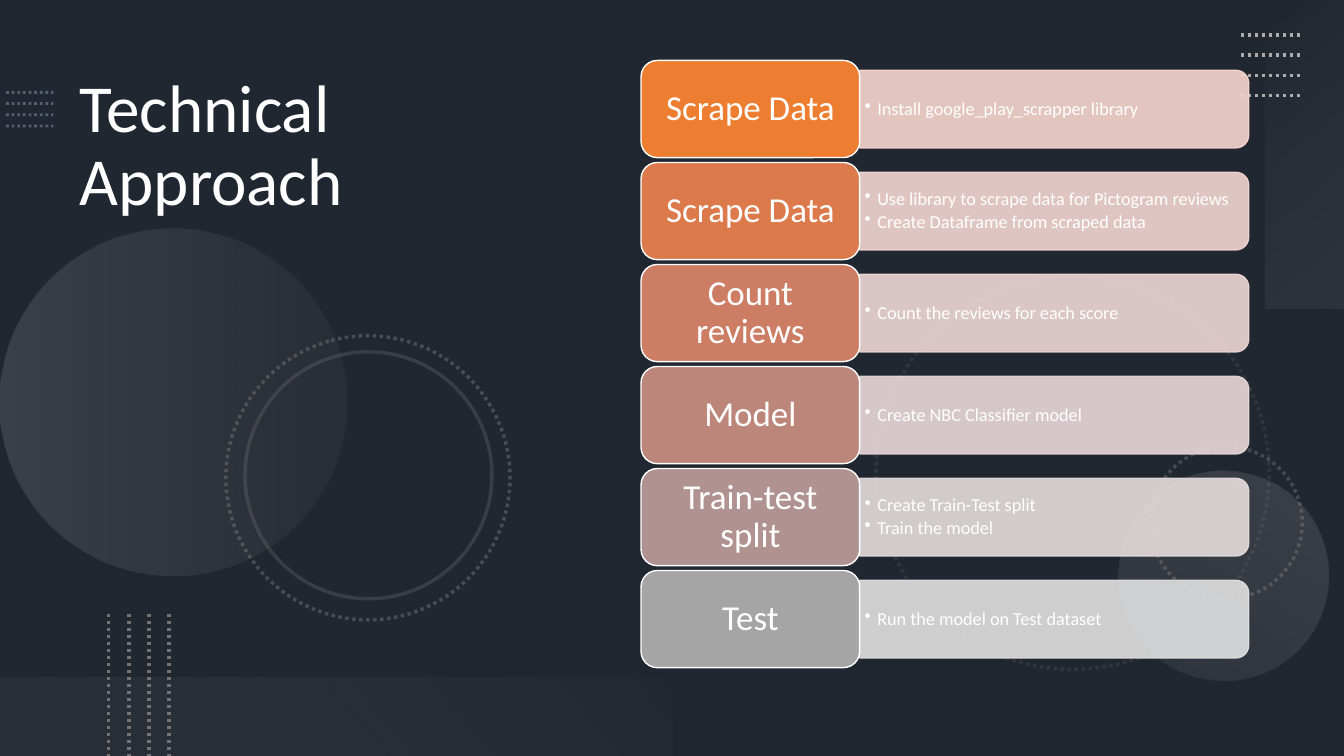
from dataclasses import dataclass

import pptx
import pptx.dml.color
import pptx.enum.dml
import pptx.enum.shapes
import pptx.enum.text
import pptx.oxml
import pptx.oxml.ns
import pptx.util

Pt = pptx.util.Pt
SHAPE = pptx.enum.shapes.MSO_SHAPE
ALIGN = pptx.enum.text.PP_ALIGN
ANCHOR = pptx.enum.text.MSO_ANCHOR
qn = pptx.oxml.ns.qn
A_NS = pptx.oxml.ns.nsdecls("a")

COLORS = {
    "slate": "44546A", "black": "000000", "white": "FFFFFF",
    "steel": "8497B0", "gray": "767171", "silver": "AFABAB",
    "smoke": "F5F5F5", "mist": "F1F0F0",
}


@dataclass
class Step:
    name: str
    points: list[str]
    card: str
    band: str


@dataclass
class Ring:
    left: float
    top: float
    size: float
    alpha: int
    dotted: bool = True


@dataclass
class Glow:
    kind: int
    box: tuple[float, float, float, float]
    rotation: int
    angle: int
    stops: list[tuple[int, str, int]]  # position %, colour name, opacity %


@dataclass
class DottedLines:
    start: tuple[float, float]
    end: tuple[float, float]
    shift: tuple[float, float]
    color: str
    width: float
    alpha: int = 100


STEPS = [
    Step("Scrape Data", ["Install google_play_scrapper library"], "ED7D31", "F8D7CE"),
    Step("Scrape Data", ["Use library to scrape data for Pictogram reviews",
                         "Create Dataframe from scraped data"], "DC7A4B", "F4D7D1"),
    Step("Count reviews", ["Count the reviews for each score"], "CC7D64", "EFD8D5"),
    Step("Model", ["Create NBC Classifier model"], "BD867B", "EADAD9"),
    Step("Train-test split", ["Create Train-Test split", "Train the model"], "B09391", "E6DDDD"),
    Step("Test", ["Run the model on Test dataset"], "A5A5A5", "E1E1E1"),
]
RINGS = [
    Ring(625.7, 197.3, 280.8, 20),
    Ring(821.5, 319, 108.7, 45),
    Ring(161.3, 239.8, 203, 50),
    Ring(175, 251.3, 176.4, 30, dotted=False),
]
DISCS = [
    Glow(SHAPE.OVAL, (0, 163.4, 247.7, 247.7), 270, 90, [(0, "silver", 20), (100, "gray", 10)]),
    Glow(SHAPE.OVAL, (799.2, 336.2, 149.8, 149.8), 210, 90, [(0, "silver", 10), (100, "silver", 20)]),
]
PANELS = [
    Glow(SHAPE.RECTANGLE, (822.2, 82.1, 220.3, 56.2), 270, 140, [(0, "smoke", 0), (100, "silver", 10)]),
    Glow(SHAPE.RECTANGLE, (0, 483.8, 480.2, 56.2), 180, 140, [(10, "gray", 10), (100, "mist", 0)]),
]
DOTTED = [
    DottedLines((4.3, 66), (38.2, 66), (0, 8), "steel", 2, 50),
    DottedLines((886.3, 25), (929.5, 25), (0, 14.4), "silver", 2.5),
    DottedLines((77.6, 438.5), (77.6, 540), (14.4, 0), "gray", 2.5),
]
LINES_PER_GROUP = 4

CARD_LEFT, CARD_TOP, CARD_W, CARD_H = 457.9, 43.2, 156.2, 69.4
STEP_PITCH = CARD_H * 1.05
BAND_LEFT, BAND_LENGTH, BAND_H = CARD_LEFT + CARD_W, 277.9, CARD_H * 0.8


def rgb(value: str) -> pptx.dml.color.RGBColor:
    return pptx.dml.color.RGBColor.from_string(value)


def paint(fill, parent, color: str, alpha: int = 100) -> None:
    """Solid fill; parent is the XML element that holds it."""
    fill.solid()
    fill.fore_color.rgb = rgb(color)
    if alpha < 100:
        clr = parent.find(qn("a:solidFill")).find(qn("a:srgbClr"))
        clr.append(pptx.oxml.parse_xml(f'<a:alpha {A_NS} val="{alpha * 1000}"/>'))


def outline(sp, color: str, width: float, alpha: int = 100, dotted: bool = False) -> None:
    sp.line.width = Pt(width)
    paint(sp.line.fill, sp.element.spPr.find(qn("a:ln")), color, alpha)
    if dotted:
        sp.line.dash_style = pptx.enum.dml.MSO_LINE.ROUND_DOT


def add_shape(slide, kind: int, left: float, top: float, width: float, height: float,
              rotation: float = 0):
    sp = slide.shapes.add_shape(kind, Pt(left), Pt(top), Pt(width), Pt(height))
    sp.shadow.inherit = False
    sp.rotation = rotation
    sp.fill.background()
    sp.line.fill.background()
    return sp


def write_text(sp, lines: list[str], *, size: float, align=ALIGN.LEFT, anchor=ANCHOR.MIDDLE,
               inset: tuple[float, float] = (7.2, 3.6), bullet: bool = False) -> None:
    tf = sp.text_frame
    tf.word_wrap = True
    tf.auto_size = pptx.enum.text.MSO_AUTO_SIZE.NONE
    tf.vertical_anchor = anchor
    tf.margin_left = tf.margin_right = Pt(inset[0])
    tf.margin_top = tf.margin_bottom = Pt(inset[1])
    for i, line in enumerate(lines):
        p = tf.paragraphs[0] if i == 0 else tf.add_paragraph()
        p.alignment, p.line_spacing = align, 0.9
        r = p.add_run()
        r.text = line
        r.font.name, r.font.size = "Calibri", Pt(size)
        r.font.color.rgb = rgb(COLORS["white"])
        if bullet:
            p.level = 1
            p.space_after = Pt(2)
            pPr = p._p.get_or_add_pPr()
            pPr.set("marL", str(Pt(9)))
            pPr.set("indent", str(-Pt(9)))
            pPr.append(pptx.oxml.parse_xml(f'<a:buChar {A_NS} char="•"/>'))


def draw_ring(slide, ring: Ring) -> None:
    sp = add_shape(slide, SHAPE.OVAL, ring.left, ring.top, ring.size, ring.size, 75)
    outline(sp, COLORS["gray"], 2.5, ring.alpha, ring.dotted)


def draw_glow(slide, glow: Glow) -> None:
    sp = add_shape(slide, glow.kind, *glow.box, glow.rotation)
    stops = "".join(
        f'<a:gs pos="{pos * 1000}"><a:srgbClr val="{COLORS[color]}">'
        f'<a:alpha val="{alpha * 1000}"/></a:srgbClr></a:gs>'
        for pos, color, alpha in glow.stops)
    spPr = sp.element.spPr
    spPr.replace(spPr.find(qn("a:noFill")), pptx.oxml.parse_xml(
        f'<a:gradFill {A_NS} rotWithShape="1"><a:gsLst>{stops}</a:gsLst>'
        f'<a:lin ang="{glow.angle * 60000}" scaled="0"/></a:gradFill>'))


def draw_dotted_lines(slide, group: DottedLines) -> None:
    for i in range(LINES_PER_GROUP):
        dx, dy = group.shift[0] * i, group.shift[1] * i
        line = slide.shapes.add_connector(
            pptx.enum.shapes.MSO_CONNECTOR.STRAIGHT,
            Pt(group.start[0] + dx), Pt(group.start[1] + dy),
            Pt(group.end[0] + dx), Pt(group.end[1] + dy))
        outline(line, COLORS[group.color], group.width, group.alpha, dotted=True)
        line.element.spPr.append(pptx.oxml.parse_xml(f"<a:effectLst {A_NS}/>"))


def draw_step(slide, step: Step, top: float) -> None:
    # Band: an upright shape turned on its side about its centre
    middle = top + CARD_H / 2
    band = add_shape(slide, SHAPE.ROUND_2_SAME_RECTANGLE,
                     BAND_LEFT + (BAND_LENGTH - BAND_H) / 2, middle - BAND_LENGTH / 2,
                     BAND_H, BAND_LENGTH, 90)
    paint(band.fill, band.element.spPr, step.band, 90)
    outline(band, step.band, 1, 90)
    box = slide.shapes.add_textbox(Pt(BAND_LEFT), Pt(middle - 25.1), Pt(275.2), Pt(50.2))
    write_text(box, step.points, size=13, inset=(3.6, 1.8), bullet=True)
    # Card
    card = add_shape(slide, SHAPE.ROUNDED_RECTANGLE, CARD_LEFT, top, CARD_W, CARD_H)
    paint(card.fill, card.element.spPr, step.card)
    outline(card, COLORS["white"], 1)
    write_text(card, [step.name], size=25, align=ALIGN.CENTER)


def main() -> None:
    prs = pptx.Presentation()
    prs.slide_width, prs.slide_height = Pt(960), Pt(540)
    slide = prs.slides.add_slide(prs.slide_layouts[5])

    # Background and dark veil
    paint(slide.background.fill, None, COLORS["slate"])
    veil = add_shape(slide, SHAPE.RECTANGLE, 0, 0, 960, 540)
    paint(veil.fill, veil.element.spPr, COLORS["black"], 53)

    # Decoration
    for ring in RINGS:
        draw_ring(slide, ring)
    for glow in DISCS + PANELS:
        draw_glow(slide, glow)
    for group in DOTTED:
        draw_dotted_lines(slide, group)

    # Title, raised above the decoration
    title = slide.shapes.title
    title.left, title.top, title.width, title.height = Pt(49.7), Pt(49.7), Pt(389.5), Pt(434.2)
    write_text(title, ["Technical Approach"], size=48, anchor=ANCHOR.TOP)
    title.element.getparent().append(title.element)

    # Steps
    for i, step in enumerate(STEPS):
        draw_step(slide, step, CARD_TOP + i * STEP_PITCH)

    prs.save("out.pptx")


if __name__ == "__main__":
    main()
